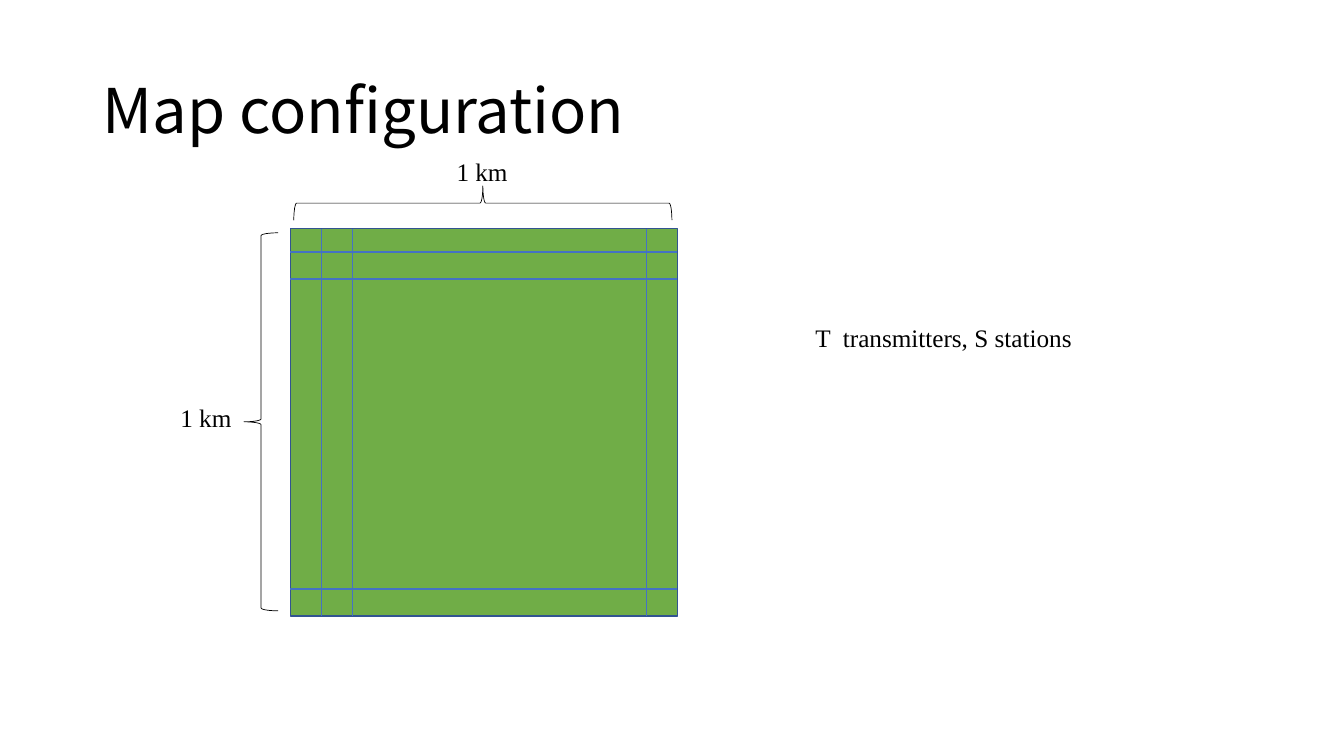
from dataclasses import dataclass

from lxml.etree import SubElement
from pptx import Presentation
from pptx.dml.color import RGBColor
from pptx.enum.shapes import MSO_CONNECTOR as Connector, MSO_SHAPE as Preset
from pptx.enum.text import MSO_ANCHOR as Anchor, MSO_AUTO_SIZE as AutoSize, PP_ALIGN as Align
from pptx.oxml.ns import qn
from pptx.shapes.autoshape import Shape
from pptx.shapes.shapetree import GroupShapes, SlideShapes
from pptx.text.text import TextFrame
from pptx.util import Inches, Pt

SLIDE_WIDTH = Inches(13.33)
SLIDE_HEIGHT = Inches(7.5)
BLACK = "000000"
GRID_BLUE = "4472C4"


@dataclass(frozen=True)
class Box:
    """Lengths in percent of the slide's width and height."""

    left: float
    top: float
    width: float
    height: float

    def place(self) -> tuple[int, int, int, int]:
        return (across(self.left), down(self.top), across(self.width), down(self.height))


@dataclass(frozen=True)
class Outline:
    preset: Preset
    box: Box
    line: str
    weight: float
    fill: str | None = None
    rotation: float = 0


@dataclass(frozen=True)
class Label:
    text: str
    box: Box


MAP = Box(21.6, 30.27, 28.8, 51.2)
OUTLINES = [
    Outline(Preset.RECTANGLE, MAP, "325491", 1, fill="70AD47"),
    Outline(Preset.LEFT_BRACE, Box(18.15, 30.8, 2.55, 50), BLACK, 0.5),
    Outline(Preset.LEFT_BRACE, Box(34.65, 1.87, 2.55, 50), BLACK, 0.5, rotation=90),
]
SIDE_LABELS = [
    Label("1 km", Box(12.68, 52.53, 5.48, 5.33)),
    Label("1 km", Box(33.23, 20, 5.48, 5.33)),
]
NOTE = Label("T  transmitters, S stations", Box(59.93, 42, 27.08, 5.33))
TITLE = Label("Map configuration", Box(6.9, 5.33, 86.25, 19.33))
COLUMN_SHARES = [0.08, 0.16, 0.92]
ROW_SHARES = [0.06, 0.13, 0.93]


def across(percent: float) -> int:
    return round(SLIDE_WIDTH * percent / 100)


def down(percent: float) -> int:
    return round(SLIDE_HEIGHT * percent / 100)


def color(value: str) -> RGBColor:
    return RGBColor.from_string(value)


def write(text_frame: TextFrame, text: str, font: str, size: float) -> None:
    text_frame.text = text
    text_frame.word_wrap = True
    paragraph = text_frame.paragraphs[0]
    paragraph.alignment = Align.LEFT
    for run in paragraph.runs:
        run.font.name = font
        run.font.size = Pt(size)
        run.font.color.rgb = color(BLACK)


def draw_outline(shapes: GroupShapes, outline: Outline) -> Shape:
    shape = shapes.add_shape(outline.preset, *outline.box.place())
    shape.shadow.inherit = False
    shape.rotation = outline.rotation
    shape.line.color.rgb = color(outline.line)
    shape.line.width = Pt(outline.weight)
    if outline.fill:
        shape.fill.solid()
        shape.fill.fore_color.rgb = color(outline.fill)
    else:
        shape.fill.background()
    return shape


def draw_label(shapes: GroupShapes | SlideShapes, label: Label) -> None:
    text_frame = shapes.add_textbox(*label.box.place()).text_frame
    write(text_frame, label.text, "Times New Roman", 18)
    text_frame.auto_size = AutoSize.SHAPE_TO_FIT_TEXT


def draw_grid_line(shapes: SlideShapes, start: tuple[int, int], end: tuple[int, int]) -> None:
    connector = shapes.add_connector(Connector.STRAIGHT, *start, *end)
    connector.line.color.rgb = color(GRID_BLUE)
    connector.line.width = Pt(1)
    SubElement(connector._element.spPr, qn("a:effectLst"))


def draw_grid(shapes: SlideShapes) -> None:
    left, top, width, height = MAP.place()
    for share in COLUMN_SHARES:
        x = left + round(width * share)
        draw_grid_line(shapes, (x, top), (x, top + height))
    for share in ROW_SHARES:
        y = top + round(height * share)
        draw_grid_line(shapes, (left, y), (left + width, y))


def draw_title(title: Shape) -> None:
    title.left, title.top, title.width, title.height = TITLE.box.place()
    write(title.text_frame, TITLE.text, "Noto Sans CJK SC", 44)
    title.text_frame.vertical_anchor = Anchor.MIDDLE
    title.text_frame.paragraphs[0].line_spacing = 0.9


def main() -> None:
    presentation = Presentation()
    presentation.slide_width = SLIDE_WIDTH
    presentation.slide_height = SLIDE_HEIGHT
    slide = presentation.slides.add_slide(presentation.slide_layouts[5])
    draw_title(slide.shapes.title)
    map_group = slide.shapes.add_group_shape()
    for outline in OUTLINES:
        draw_outline(map_group.shapes, outline)
    for label in SIDE_LABELS:
        draw_label(map_group.shapes, label)
    draw_grid(slide.shapes)
    draw_label(slide.shapes, NOTE)
    presentation.save("out.pptx")


if __name__ == "__main__":
    main()
